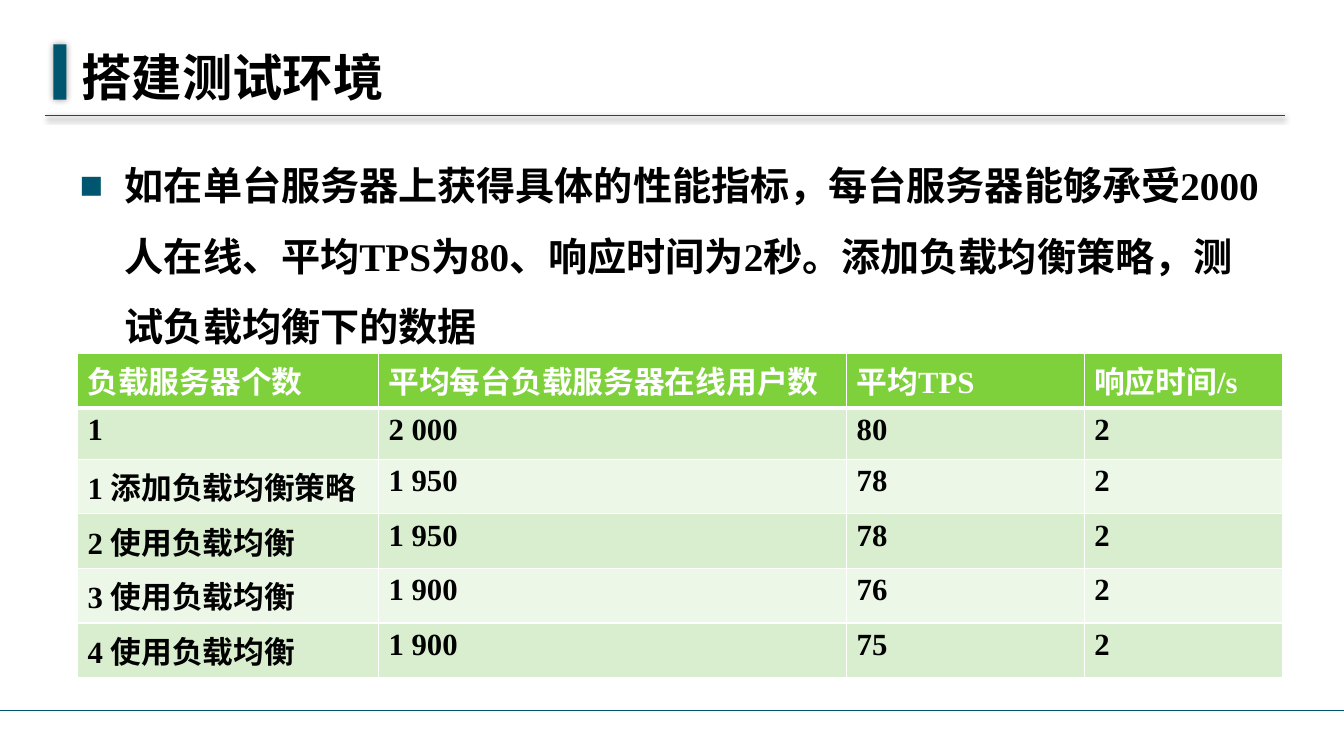
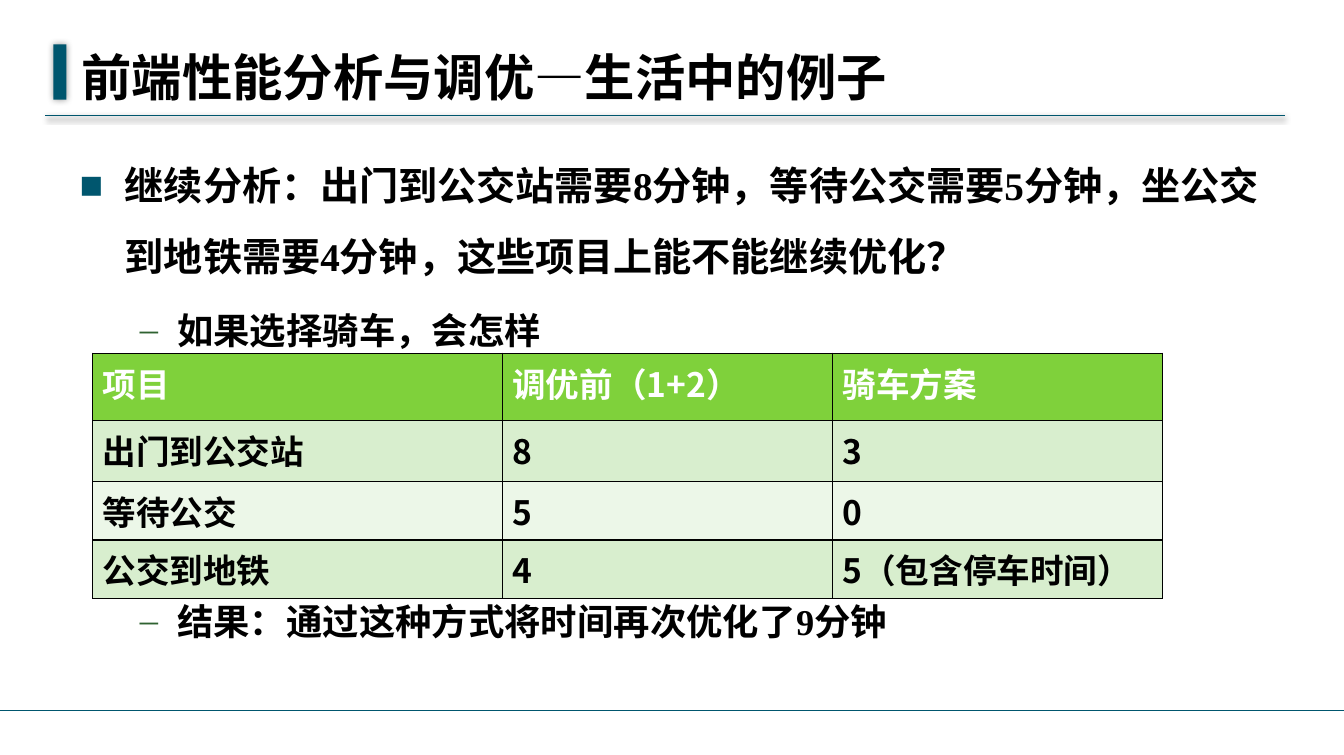
from pptx import Presentation
from pptx.dml.color import RGBColor
from pptx.enum.lang import MSO_LANGUAGE_ID as Language
from pptx.enum.shapes import MSO_CONNECTOR as Connector, MSO_SHAPE as Shape
from pptx.enum.text import MSO_ANCHOR as Anchor, MSO_AUTO_SIZE as AutoSize, PP_ALIGN as Align
from pptx.oxml import parse_xml
from pptx.oxml.ns import nsdecls
from pptx.util import Inches, Pt

COLORS = {
    "accent": "00566E",
    "dash": "2F6231",
    "text": "000000",
    "white": "FFFFFF",
    "header": "7FD13B",
    "band_dark": "D8EECE",
    "band_light": "ECF7E8",
}
CHINESE_FONT = "Noto Sans CJK SC"
LATIN_FONT = "Times New Roman"
TITLE_ONLY = 5

# Bullet levels: text size, left margin, hanging indent, character, colour
LEVELS = [
    (28, 0.45, 0.45, "■", "accent"),
    (26, 0.97, 0.37, "–", "dash"),
]


def rgb(name):
    return RGBColor.from_string(COLORS[name])


def element(tag, attributes="", content=""):
    return parse_xml(f'<a:{tag} {nsdecls("a")} {attributes}>{content}</a:{tag}>')


def set_effects(shape, blur=0, distance=0, direction=0, opacity=0):
    """Give the shape an outer shadow, or none when the opacity is zero."""
    shadow = ""
    if opacity:
        shadow = (
            f'<a:outerShdw blurRad="{Pt(blur)}" dist="{Pt(distance)}" '
            f'dir="{direction * 60000}" algn="ctr" rotWithShape="0">'
            f'<a:srgbClr val="{COLORS["text"]}"><a:alpha val="{opacity * 1000}"/>'
            "</a:srgbClr></a:outerShdw>"
        )
    shape._element.spPr.append(element("effectLst", content=shadow))


def add_run(paragraph, text, size, color="text", latin=LATIN_FONT):
    run = paragraph.add_run()
    run.text = text
    font = run.font
    font.size = Pt(size)
    font.bold = True
    font.color.rgb = rgb(color)
    font.language_id = Language.SIMPLIFIED_CHINESE
    font.name = latin
    run._r.get_or_add_rPr().append(element("ea", f'typeface="{CHINESE_FONT}"'))


def set_frame(frame, anchor):
    frame.word_wrap = True
    frame.auto_size = AutoSize.NONE
    frame.vertical_anchor = anchor
    frame.margin_left = frame.margin_right = Inches(0.12)
    frame.margin_top = frame.margin_bottom = Inches(0.06)


def add_line(slide, left, right, y):
    line = slide.shapes.add_connector(
        Connector.STRAIGHT, Inches(left), Inches(y), Inches(right), Inches(y))
    line.line.color.rgb = rgb("accent")
    line.line.width = Pt(1)
    return line


def add_slide(presentation, title_text):
    slide = presentation.slides.add_slide(presentation.slide_layouts[TITLE_ONLY])

    # Title rule, marker and footer rule
    set_effects(add_line(slide, 0.45, 12.76, 1.15), 4, 1.6, 90, 42)
    marker = slide.shapes.add_shape(
        Shape.RECTANGLE, Inches(0.53), Inches(0.44), Inches(0.13), Inches(0.55))
    marker.fill.solid()
    marker.fill.fore_color.rgb = rgb("accent")
    marker.line.fill.background()
    set_effects(marker, 5, 0, 0, 40)
    set_effects(add_line(slide, 0, 13.35, 7.06))

    # Title
    title = slide.shapes.title
    title.left, title.top = Inches(0.69), Inches(0.44)
    title.width, title.height = Inches(9.05), Inches(0.63)
    set_frame(title.text_frame, Anchor.MIDDLE)
    paragraph = title.text_frame.paragraphs[0]
    paragraph.alignment = Align.LEFT
    add_run(paragraph, title_text, 36, latin=CHINESE_FONT)
    return slide


def add_bullets(slide, items):
    """Each item is a level, a text and the extra space above it in points."""
    box = slide.shapes.add_textbox(
        Inches(0.67), Inches(1.31), Inches(12.01), Inches(5.51))
    frame = box.text_frame
    set_frame(frame, Anchor.TOP)
    for index, (level, text, gap) in enumerate(items):
        size, margin, hanging, character, color = LEVELS[level]
        paragraph = frame.add_paragraph() if index else frame.paragraphs[0]
        paragraph.level = level
        paragraph.alignment = Align.LEFT
        paragraph.line_spacing = 1.5
        paragraph.space_before = Pt(0.2 * size + gap)
        properties = paragraph._p.get_or_add_pPr()
        properties.set("marL", str(Inches(margin)))
        properties.set("indent", str(-Inches(hanging)))
        properties.append(element(
            "buClr", content=f'<a:srgbClr val="{COLORS[color]}"/>'))
        properties.append(element("buFont", f'typeface="{LATIN_FONT}"'))
        properties.append(element("buChar", f'char="{character}"'))
        add_run(paragraph, text, size)


def set_borders(cell, color, bottom_width, top_width):
    widths = {"lnL": 1, "lnR": 1, "lnT": top_width, "lnB": bottom_width}
    properties = cell._tc.get_or_add_tcPr()
    for index, (side, width) in enumerate(widths.items()):
        properties.insert(index, element(
            side, f'w="{Pt(width)}"',
            f'<a:solidFill><a:srgbClr val="{COLORS[color]}"/></a:solidFill>'))


def add_grid(slide, left, top, widths, heights, rows, size, latin, border, header_rule=1):
    table = slide.shapes.add_table(
        len(rows), len(widths), Inches(left), Inches(top),
        Inches(sum(widths)), Inches(sum(heights))).table
    table.horz_banding = False
    for column, width in zip(table.columns, widths):
        column.width = Inches(width)
    for row, height in zip(table.rows, heights):
        row.height = Inches(height)
    for row_index, texts in enumerate(rows):
        is_header = row_index == 0
        band = "band_dark" if row_index % 2 else "band_light"
        for column_index, text in enumerate(texts):
            cell = table.cell(row_index, column_index)
            cell.fill.solid()
            cell.fill.fore_color.rgb = rgb("header" if is_header else band)
            set_borders(cell, border,
                        bottom_width=header_rule if is_header else 1,
                        top_width=header_rule if row_index == 1 else 1)
            add_run(cell.text_frame.paragraphs[0], text, size,
                    "white" if is_header else "text", latin)


def build_environment_slide(presentation):
    slide = add_slide(presentation, "搭建测试环境")
    add_bullets(slide, [
        (0, "如在单台服务器上获得具体的性能指标，每台服务器能够承受2000人在线、"
            "平均TPS为80、响应时间为2秒。添加负载均衡策略，测试负载均衡下的数据", 0),
    ])
    rows = [
        ("负载服务器个数", "平均每台负载服务器在线用户数", "平均TPS", "响应时间/s"),
        ("1", "2 000", "80", "2"),
        ("1 添加负载均衡策略", "1 950", "78", "2"),
        ("2 使用负载均衡", "1 950", "78", "2"),
        ("3 使用负载均衡", "1 900", "76", "2"),
        ("4 使用负载均衡", "1 900", "75", "2"),
    ]
    add_grid(slide, 0.77, 3.51, [2.99, 4.65, 2.36, 1.97], [0.51] * len(rows),
             rows, 22, LATIN_FONT, "white", header_rule=3)


def build_commute_slide(presentation):
    slide = add_slide(presentation, "前端性能分析与调优—生活中的例子")
    # The extra gap leaves room for the table
    add_bullets(slide, [
        (0, "继续分析：出门到公交站需要8分钟，等待公交需要5分钟，"
            "坐公交到地铁需要4分钟，这些项目上能不能继续优化？", 0),
        (1, "如果选择骑车，会怎样", 0),
        (1, "结果：通过这种方式将时间再次优化了9分钟", 156),
    ])
    rows = [
        ("项目", "调优前（1+2）", "骑车方案"),
        ("出门到公交站", "8", "3"),
        ("等待公交", "5", "0"),
        ("公交到地铁", "4", "5（包含停车时间）"),
    ]
    add_grid(slide, 0.92, 3.51, [4.07, 3.28, 3.28], [0.67, 0.6, 0.51, 0.51],
             rows, 24, CHINESE_FONT, "text")


def main():
    presentation = Presentation()
    presentation.slide_width = Inches(13.35)
    presentation.slide_height = Inches(7.5)
    build_environment_slide(presentation)
    build_commute_slide(presentation)
    presentation.save("out.pptx")


if __name__ == "__main__":
    main()
